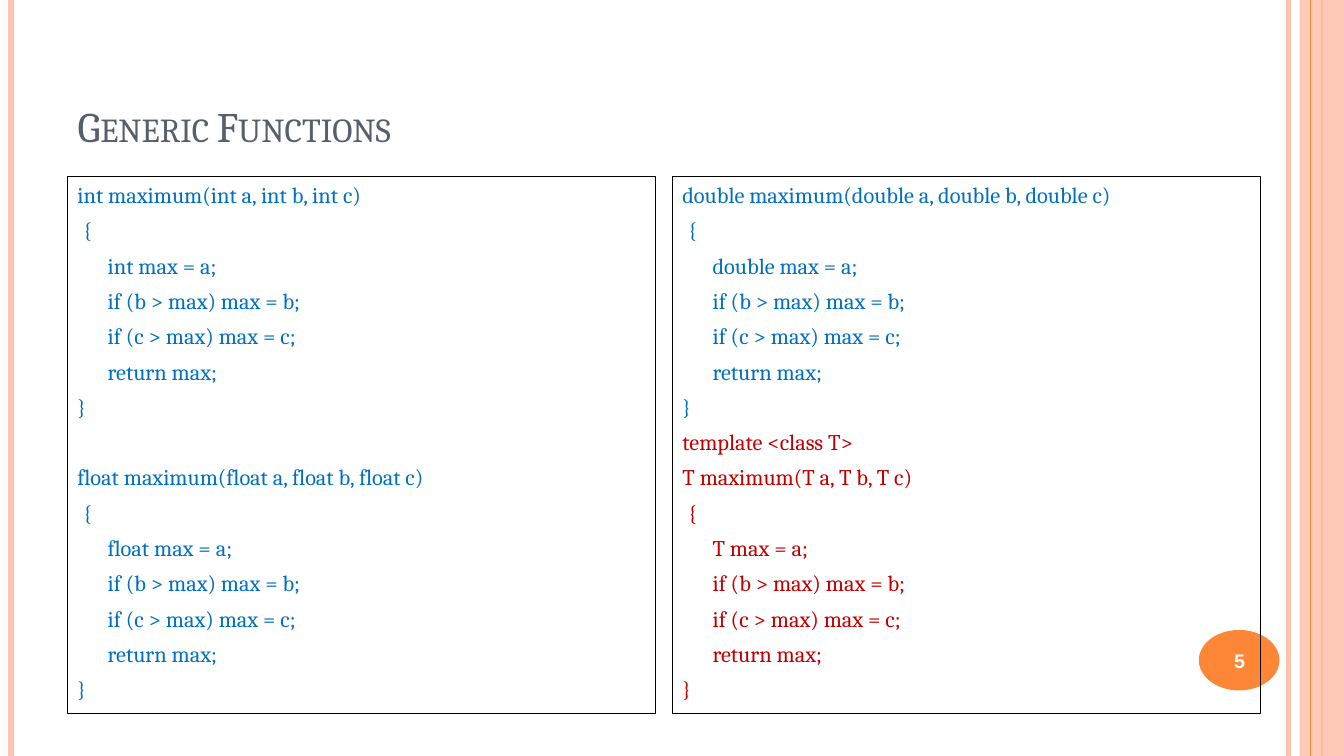
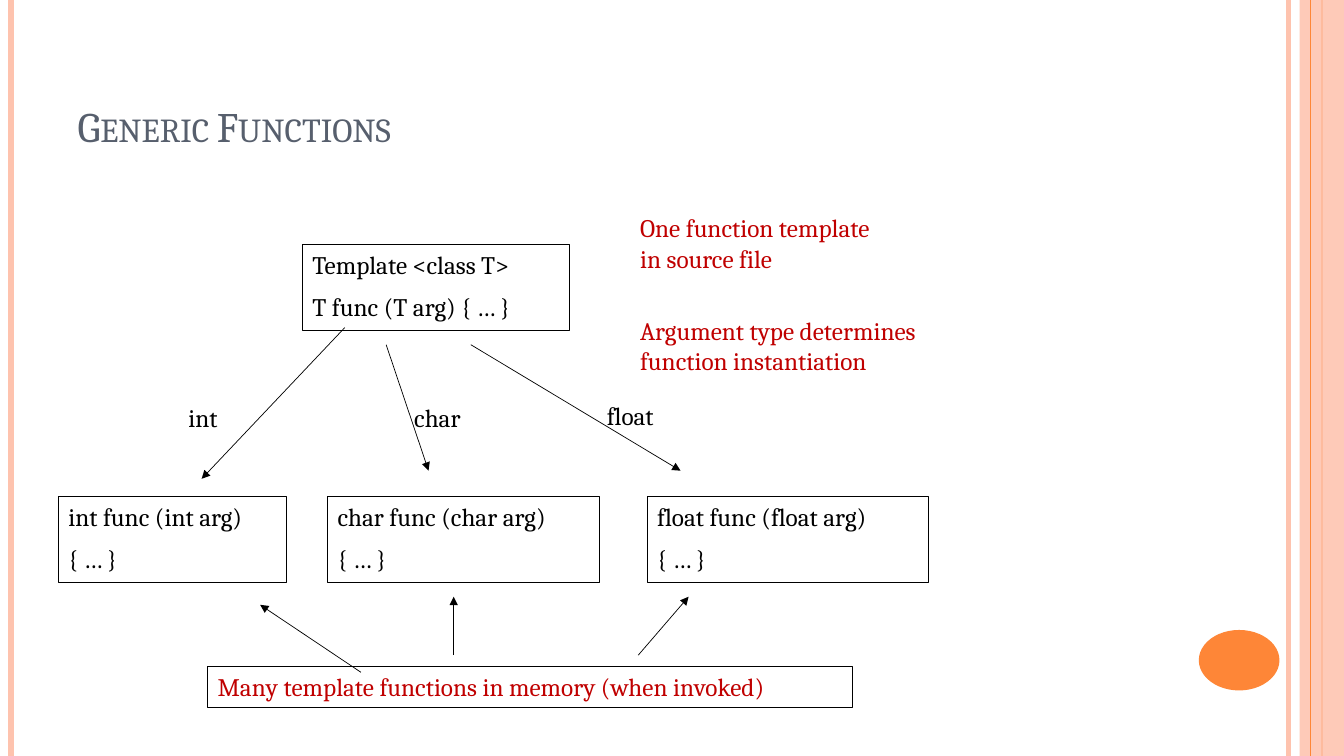
from lxml.etree import SubElement
from pptx import Presentation
from pptx.dml.color import RGBColor
from pptx.enum.shapes import MSO_CONNECTOR as LINK, MSO_SHAPE as SHAPE
from pptx.enum.text import MSO_ANCHOR as ANCHOR, PP_ALIGN as ALIGN
from pptx.oxml.ns import qn
from pptx.util import Inches, Pt

BLACK = RGBColor(0x00, 0x00, 0x00)
WHITE = RGBColor(0xFF, 0xFF, 0xFF)
PEACH = RGBColor(0xFE, 0xC3, 0xAE)
ORANGE = RGBColor(0xFE, 0x86, 0x37)
SLATE = RGBColor(0x57, 0x5F, 0x6D)
BLUE = RGBColor(0x00, 0x70, 0xC0)
RED = RGBColor(0xC0, 0x00, 0x00)
FONT = "Cambria"
SLIDE_HEIGHT = 7.5


def add_line(slide, start, end, color, weight):
    ends = [Inches(v) for v in (*start, *end)]
    line = slide.shapes.add_connector(LINK.STRAIGHT, *ends)
    line.line.color.rgb = color
    line.line.width = Pt(weight)
    SubElement(line.element.spPr, qn("a:effectLst"))
    return line


def add_text(slide, area, lines, size, color, gap=0, border=0):
    place = [Inches(v) for v in area]
    if border:
        panel = slide.shapes.add_shape(SHAPE.RECTANGLE, *place)
        panel.shadow.inherit = False
        panel.fill.background()
        panel.line.color.rgb = BLACK
        panel.line.width = Pt(border)
    else:
        panel = slide.shapes.add_textbox(*place)
    frame = panel.text_frame
    frame.word_wrap = True
    frame.vertical_anchor = ANCHOR.TOP
    frame.text = "\n".join(lines)
    for paragraph in frame.paragraphs:
        paragraph.alignment = ALIGN.LEFT
        paragraph.space_before = Pt(gap)
        for run in paragraph.runs:
            run.font.name = FONT
            run.font.size = Pt(size)
            run.font.color.rgb = color
    return frame


prs = Presentation()
prs.slide_width = Inches(13.33)
prs.slide_height = Inches(SLIDE_HEIGHT)
title_only = prs.slide_layouts[5]
code_slide = prs.slides.add_slide(title_only)
diagram_slide = prs.slides.add_slide(title_only)

for slide in (code_slide, diagram_slide):
    for x, color, weight in ((12.78, PEACH, 3), (0.11, PEACH, 4.5), (13.11, ORANGE, 1.5)):
        add_line(slide, (x, 0), (x, SLIDE_HEIGHT), color, weight)
    for preset, area, color in (
        (SHAPE.RECTANGLE, (12.89, 0, 0.44, SLIDE_HEIGHT), PEACH),
        (SHAPE.OVAL, (11.89, 6.25, 0.8, 0.6), ORANGE),
    ):
        accent = slide.shapes.add_shape(preset, *[Inches(v) for v in area])
        accent.shadow.inherit = False
        accent.fill.solid()
        accent.fill.fore_color.rgb = color
        accent.line.fill.background()
        if preset == SHAPE.RECTANGLE:
            tint = accent.element.spPr.find(".//" + qn("a:srgbClr"))
            SubElement(tint, qn("a:alpha")).set("val", "87000")
    add_line(slide, (13, 0), (13, SLIDE_HEIGHT), ORANGE, 0.75)

    title = slide.shapes.title
    title.left, title.top = Inches(0.67), Inches(0.3)
    title.width, title.height = Inches(11.22), Inches(1.25)
    title.text_frame.text = "Generic Functions"
    title.text_frame.vertical_anchor = ANCHOR.BOTTOM
    heading = title.text_frame.paragraphs[0]
    heading.alignment = ALIGN.LEFT
    heading_font = heading.runs[0].font
    heading_font.name = FONT
    heading_font.size = Pt(30)
    heading_font.color.rgb = SLATE
    heading.runs[0].font._element.set("cap", "small")

FUNCTION = (
    (0, "{0} maximum({0} a, {0} b, {0} c)"),
    (0.06, "{{"),
    (0.3, "{0} max = a;"),
    (0.3, "if (b > max) max = b;"),
    (0.3, "if (c > max) max = c;"),
    (0.3, "return max;"),
    (0, "}}"),
)
int_code, float_code, double_code, template_code = [
    [(indent, line.format(kind)) for indent, line in FUNCTION]
    for kind in ("int", "float", "double", "T")
]
template_code.insert(0, (0, "template <class T>"))

second_starts = len(FUNCTION)
for left, code, second_gap, second_color in (
    (0.67, int_code + float_code, 31.2, BLUE),
    (6.67, double_code + template_code, 6, RED),
):
    listing = add_text(
        code_slide, (left, 1.75, 5.83, 5.33), [line for _, line in code], 16, BLUE, 6, 0.75
    )
    for paragraph, (indent, _) in zip(listing.paragraphs, code):
        paragraph._p.get_or_add_pPr().set("marL", str(Inches(indent)))
    listing.paragraphs[second_starts].space_before = Pt(second_gap)
    for paragraph in listing.paragraphs[second_starts:]:
        paragraph.runs[0].font.color.rgb = second_color

page_number = add_text(code_slide, (11.85, 6.27, 0.89, 0.57), ["5"], 14, WHITE)
page_number.vertical_anchor = ANCHOR.MIDDLE
page_number.paragraphs[0].alignment = ALIGN.CENTER
number_font = page_number.paragraphs[0].runs[0].font
number_font.name = "Arial"
number_font.bold = True

for left, top, width, lines in (
    (3, 2.42, 2.65, ["Template <class T>", "T func (T arg) { … }"]),
    (6.42, 4.92, 2.79, ["float func (float arg)", "{ … }"]),
    (3.25, 4.92, 2.69, ["char func (char arg)", "{ … }"]),
    (0.58, 4.92, 2.26, ["int func (int arg)", "{ … }"]),
):
    add_text(diagram_slide, (left, top, width, 0.86), lines, 18, BLACK, 9, 0.5)

for top, width, lines in (
    (2.06, 2.91, ["One function template", "in source file"]),
    (3.08, 3.42, ["Argument type determines", "function instantiation"]),
):
    add_text(diagram_slide, (6.25, top, width, 0.71), lines, 18, RED)

add_text(
    diagram_slide,
    (2.06, 6.61, 6.39, 0.41),
    ["Many template functions in memory (when invoked)"],
    18,
    RED,
    border=0.5,
)

for start, end in (
    ((3.42, 3.25), (2, 4.75)),
    ((3.83, 3.42), (4.25, 4.67)),
    ((4.67, 3.42), (6.75, 4.67)),
    ((3.58, 6.67), (2.58, 6)),
    ((4.5, 6.5), (4.5, 5.92)),
    ((6.33, 6.5), (6.83, 5.92)),
):
    arrow = add_line(diagram_slide, start, end, BLACK, 0.5)
    SubElement(arrow.line._get_or_add_ln(), qn("a:tailEnd")).set("type", "triangle")

for left, top, width, kind in (
    (1.77, 3.94, 0.81, "int"),
    (4.01, 3.94, 0.74, "char"),
    (5.92, 3.92, 0.79, "float"),
):
    add_text(diagram_slide, (left, top, width, 0.41), [kind], 18, BLACK)

prs.save("out.pptx")
